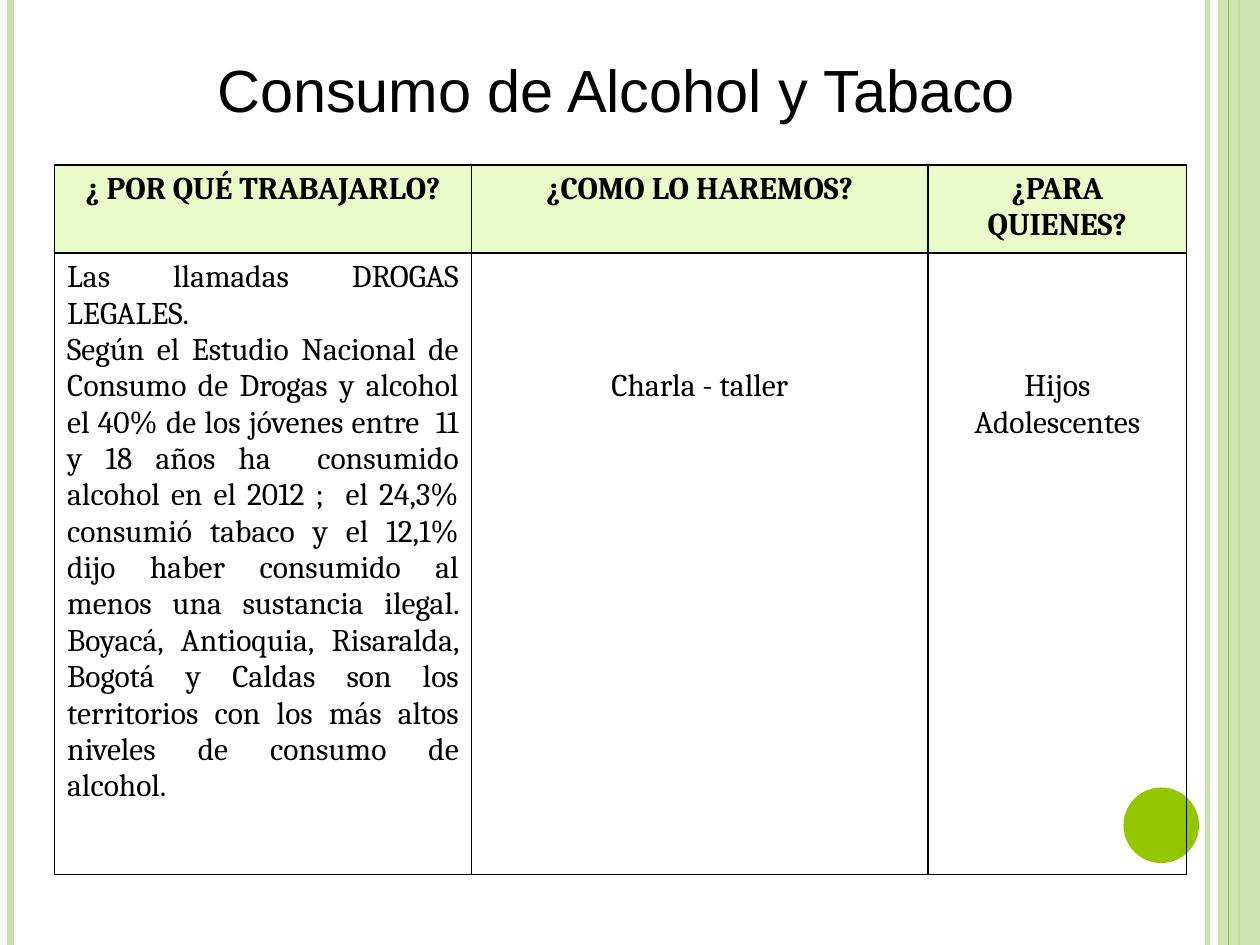
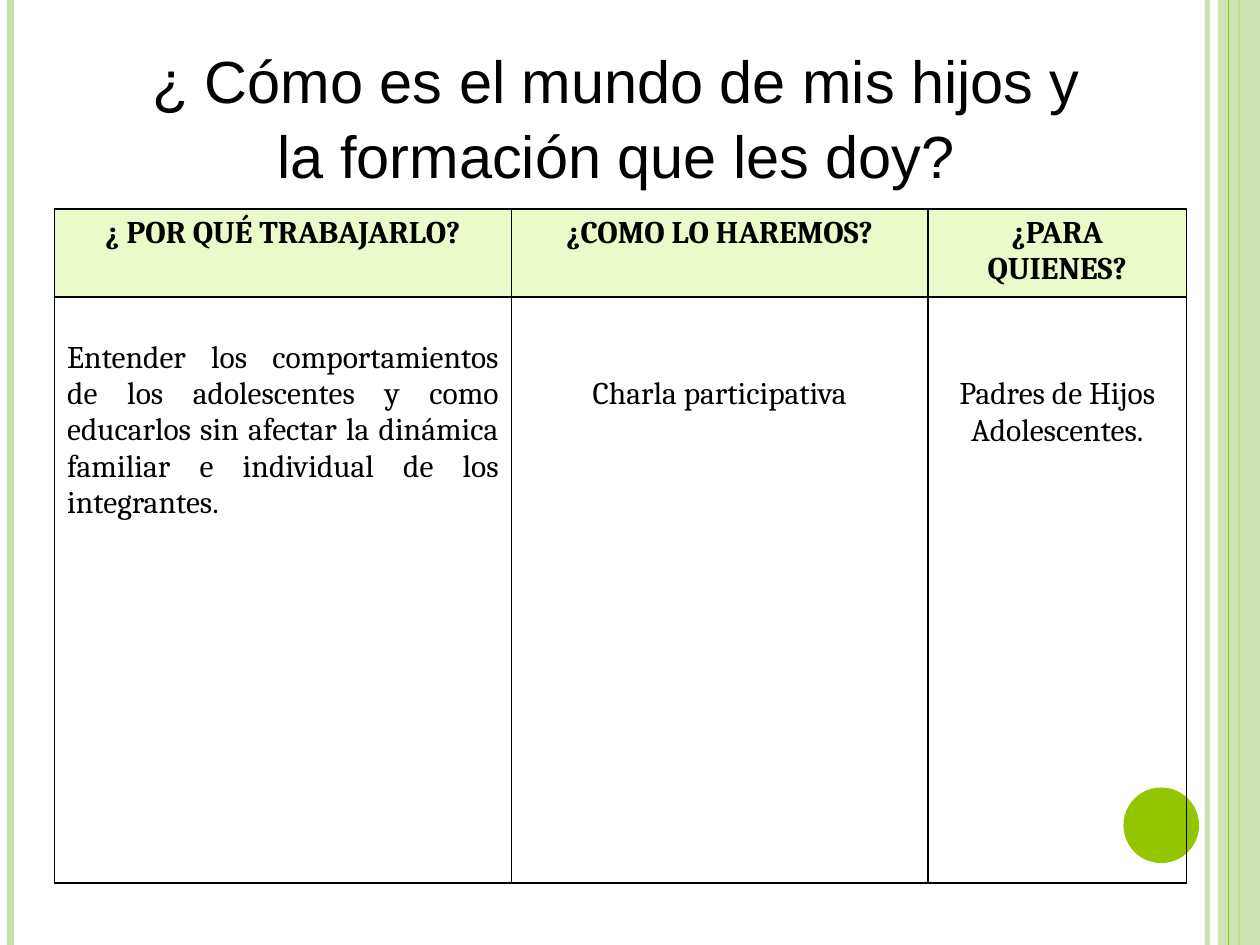
from dataclasses import dataclass

from lxml.etree import SubElement
from pptx import Presentation
from pptx.dml.color import RGBColor
from pptx.enum.shapes import MSO_CONNECTOR, MSO_SHAPE
from pptx.enum.text import MSO_ANCHOR, MSO_AUTO_SIZE, PP_ALIGN
from pptx.oxml.ns import qn
from pptx.slide import Slide
from pptx.table import _Cell
from pptx.util import Emu, Inches, Pt

COLORS = {
    "paper": "FFFFFF",
    "ink": "000000",
    "pale": "C8DFAB",
    "lime": "94C600",
    "header": "EAFAC9",
}
TITLE_FONT, TABLE_FONT = "Arial", "Cambria"
WIDTH, HEIGHT = Inches(10), Inches(7.5)
COLUMNS, ROWS = 120, 90
TITLE_LEFT, TITLE_WIDTH = 11, 95.4
TABLE_LEFT, HEADER_ROWS = 5.2, 8.4
CELL_TOP, TEXT_LINE = 0.6, 3.47
HEADINGS = ("¿ POR QUÉ TRABAJARLO?", "¿COMO LO HAREMOS?", "¿PARA QUIENES?")


@dataclass(frozen=True)
class Stripe:
    """A full-height vertical line on a grid column."""

    column: float
    color: str
    weight: float
    opacity: int = 100


@dataclass(frozen=True)
class Answer:
    """Body text of one table column, lowered by a number of lines."""

    paragraphs: tuple[str, ...]
    lines_down: int = 0
    align: PP_ALIGN = PP_ALIGN.CENTER


@dataclass(frozen=True)
class Topic:
    """Everything that differs from one slide to the next."""

    title: str
    title_top: float
    title_rows: float
    table_top: float
    body_rows: float
    widths: tuple[float, ...]
    answers: tuple[Answer, ...]


STRIPES_BELOW = (
    Stripe(115, "pale", 3, 93),
    Stripe(1, "pale", 4.5),
    Stripe(118, "lime", 1.5),
)
STRIPE_ABOVE = Stripe(117, "lime", 0.75)

TOPICS = (
    Topic(
        "Consumo de Alcohol y Tabaco", 4.3, 8, 15.7, 59.2, (39.7, 43.5, 24.6),
        (
            Answer(
                (
                    "Las llamadas DROGAS LEGALES.",
                    "Según el Estudio Nacional de Consumo de Drogas y alcohol "
                    "el 40% de los jóvenes entre  11 y 18 años ha  consumido "
                    "alcohol en el 2012 ;  el 24,3% consumió tabaco y el 12,1% "
                    "dijo haber consumido al menos una sustancia ilegal. "
                    "Boyacá, Antioquia, Risaralda, Bogotá y Caldas son los "
                    "territorios con los más altos niveles de consumo de alcohol.",
                ),
                align=PP_ALIGN.JUSTIFY,
            ),
            Answer(("Charla - taller",), 3),
            Answer(("Hijos Adolescentes",), 3),
        ),
    ),
    Topic(
        "¿ Cómo es el mundo de mis hijos y la formación que les doy?",
        3.5, 15, 19.9, 55.8, (43.5, 39.7, 24.6),
        (
            Answer(
                (
                    "Entender los comportamientos de los adolescentes y como "
                    "educarlos sin afectar la dinámica familiar e individual "
                    "de los integrantes.",
                ),
                1,
                PP_ALIGN.JUSTIFY,
            ),
            Answer(("Charla participativa",), 2),
            Answer(("Padres de Hijos Adolescentes.",), 2),
        ),
    ),
)


def across(columns: float) -> Emu:
    """Return the length of a number of grid columns."""
    return Emu(round(WIDTH * columns / COLUMNS))


def down(rows: float) -> Emu:
    """Return the length of a number of grid rows."""
    return Emu(round(HEIGHT * rows / ROWS))


def rgb(name: str) -> RGBColor:
    """Return a named palette colour."""
    return RGBColor.from_string(COLORS[name])


def set_opacity(element, percent: int) -> None:
    """Add an opacity to the first solid colour inside an element."""
    color = next(element.iter(qn("a:srgbClr")))
    SubElement(color, qn("a:alpha"), val=str(percent * 1000))


def draw_stripe(page: Slide, stripe: Stripe) -> None:
    """Draw one stripe from the top to the bottom of the slide."""
    column = across(stripe.column)
    line = page.shapes.add_connector(MSO_CONNECTOR.STRAIGHT, column, 0, column, HEIGHT)
    line.line.color.rgb = rgb(stripe.color)
    line.line.width = Pt(stripe.weight)
    properties = line._element.spPr
    SubElement(properties, qn("a:effectLst"))
    if stripe.opacity < 100:
        set_opacity(properties, stripe.opacity)


def draw_block(page: Slide, kind: MSO_SHAPE, left: float, top: float,
               columns: float, rows: float, color: str, opacity: int = 100) -> None:
    """Draw a filled shape without outline."""
    block = page.shapes.add_shape(kind, across(left), down(top), across(columns), down(rows))
    block.shadow.inherit = False
    block.fill.solid()
    block.fill.fore_color.rgb = rgb(color)
    block.line.fill.background()
    if opacity < 100:
        set_opacity(block._element.spPr, opacity)


def draw_frame(page: Slide) -> None:
    """Draw the background, side bands and circle shared by the slides."""
    page.background.fill.solid()
    page.background.fill.fore_color.rgb = rgb("paper")
    for stripe in STRIPES_BELOW:
        draw_stripe(page, stripe)
    draw_block(page, MSO_SHAPE.RECTANGLE, 116, 0, 4, ROWS, "pale", 87)
    draw_stripe(page, STRIPE_ABOVE)
    draw_block(page, MSO_SHAPE.OVAL, 107, 75, 7.2, 7.2, "lime")


def write_title(page: Slide, topic: Topic) -> None:
    """Place and format the title placeholder."""
    box = page.shapes.title
    box.left, box.top = across(TITLE_LEFT), down(topic.title_top)
    box.width, box.height = across(TITLE_WIDTH), down(topic.title_rows)
    frame = box.text_frame
    frame.text = topic.title
    frame.word_wrap = True
    frame.auto_size = MSO_AUTO_SIZE.NONE
    frame.vertical_anchor = MSO_ANCHOR.MIDDLE
    para = frame.paragraphs[0]
    para.alignment = PP_ALIGN.CENTER
    para.line_spacing = 1.05
    para.font.name = TITLE_FONT
    para.font.size = Pt(34)
    para.font.color.rgb = rgb("ink")


def draw_borders(cell: _Cell) -> None:
    """Give a cell a thin dark line on its four sides."""
    properties = cell._tc.get_or_add_tcPr()
    for side in ("a:lnL", "a:lnR", "a:lnT", "a:lnB"):
        line = SubElement(properties, qn(side), w=str(Pt(1)))
        fill = SubElement(line, qn("a:solidFill"))
        SubElement(fill, qn("a:srgbClr"), val=COLORS["ink"])


def write_cell(cell: _Cell, answer: Answer, header: bool = False) -> None:
    """Fill and format one table cell."""
    draw_borders(cell)
    if header:
        cell.fill.solid()
        cell.fill.fore_color.rgb = rgb("header")
    else:
        cell.fill.background()
    cell.vertical_anchor = MSO_ANCHOR.TOP
    cell.margin_top = down(CELL_TOP + answer.lines_down * TEXT_LINE)
    cell.text = "\n".join(answer.paragraphs)
    for para in cell.text_frame.paragraphs:
        para.alignment = answer.align
        para.font.name = TABLE_FONT
        para.font.size = Pt(18)
        para.font.bold = header
        para.font.color.rgb = rgb("ink")


def draw_table(page: Slide, topic: Topic) -> None:
    """Draw the table of questions and answers."""
    table = page.shapes.add_table(
        2, len(HEADINGS), across(TABLE_LEFT), down(topic.table_top),
        across(sum(topic.widths)), down(HEADER_ROWS + topic.body_rows),
    ).table
    table.first_row = table.horz_banding = False
    for row, height in zip(table.rows, (HEADER_ROWS, topic.body_rows)):
        row.height = down(height)
    for index, width in enumerate(topic.widths):
        table.columns[index].width = across(width)
        write_cell(table.cell(0, index), Answer((HEADINGS[index],)), header=True)
        write_cell(table.cell(1, index), topic.answers[index])


def main() -> None:
    """Build and save the deck."""
    deck = Presentation()
    deck.slide_width, deck.slide_height = WIDTH, HEIGHT
    title_only = deck.slide_layouts.get_by_name("Title Only")
    for topic in TOPICS:
        page = deck.slides.add_slide(title_only)
        draw_frame(page)
        write_title(page, topic)
        draw_table(page, topic)
    deck.save("out.pptx")


if __name__ == "__main__":
    main()
